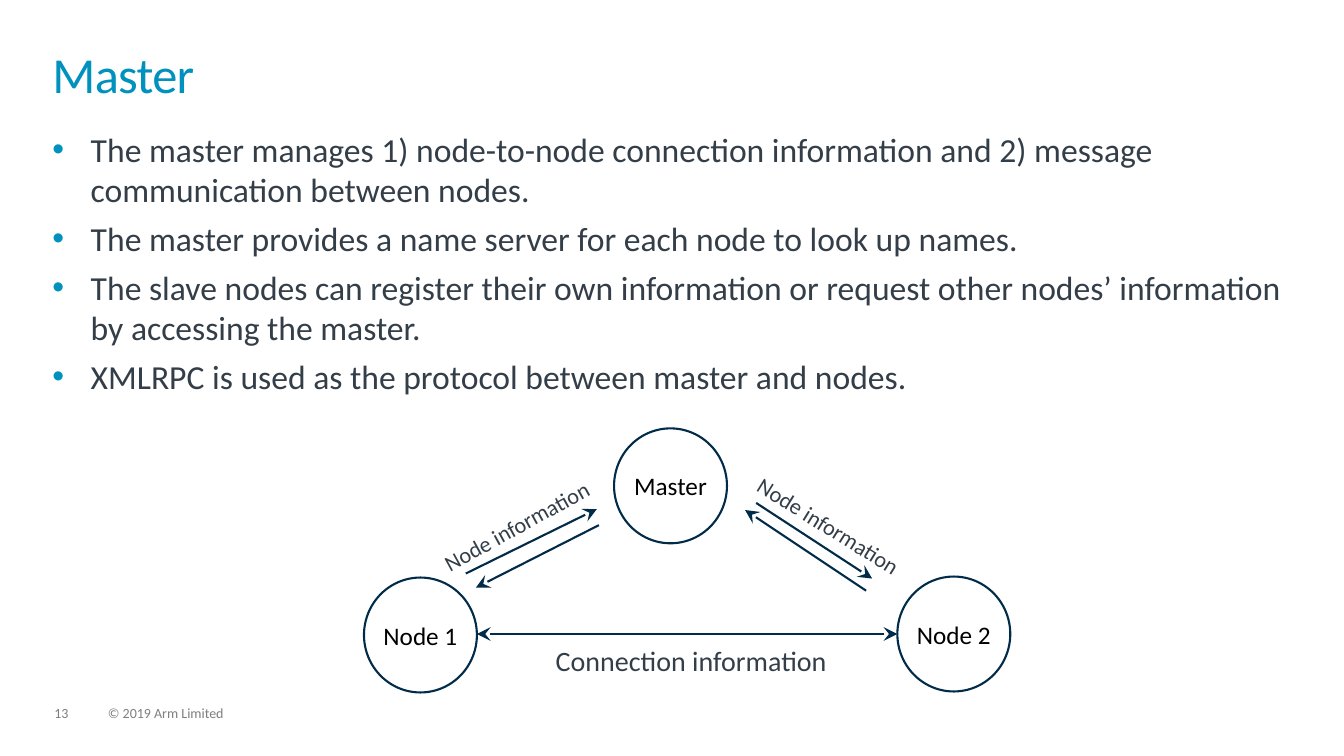
from lxml import etree
from pptx import Presentation
from pptx.dml.color import RGBColor
from pptx.enum.shapes import MSO_CONNECTOR, MSO_SHAPE
from pptx.enum.text import MSO_ANCHOR, PP_ALIGN
from pptx.oxml.ns import qn
from pptx.util import Inches, Pt

LINE, OVAL = MSO_CONNECTOR.STRAIGHT, MSO_SHAPE.OVAL
LEFT, MID = PP_ALIGN.LEFT, PP_ALIGN.CENTER
TOP, CENTRE = MSO_ANCHOR.TOP, MSO_ANCHOR.MIDDLE
FONT = "Calibri"
BLUE, NAVY, SLATE, GREY = "0091BD", "002B49", "333E48", "7F7F7F"

TITLE = "Master"
POINTS = [
    "The master manages 1) node-to-node connection information and 2) message "
    "communication between nodes.",
    "The master provides a name server for each node to look up names.",
    "The slave nodes can register their own information or request other nodes’ "
    "information by accessing the master.",
    "XMLRPC is used as the protocol between master and nodes.",
]
NODES = [("Master", 6.09, 4.25), ("Node 1", 3.61, 5.73), ("Node 2", 8.9, 5.72)]
NODE_W, NODE_H = 1.12, 1.14
# start, end, arrowheads at both ends
ARROWS = [
    ((4.62, 5.69), (5.92, 5.05), False),
    ((5.94, 5.21), (4.72, 5.83), False),
    ((8.9, 6.29), (4.73, 6.29), True),
    ((8.59, 5.86), (7.39, 5.06), False),
    ((7.5, 4.99), (8.65, 5.74), False),
]
# text, box, size, rotation
LABELS = [
    ("Connection information", (5.5, 6.42, 2.71, 0.3), 20, 0),
    ("Node information", (4.32, 5.11, 1.62, 0.24), 16, 331.1),
    ("Node information", (7.4, 5.11, 1.62, 0.24), 16, 31.8),
]
FOOTER = [("13", (0.54, 7.01, 0.34, 0.15)),
          ("© 2019 Arm Limited", (1.07, 7.01, 1.71, 0.15))]


def rgb(code):
    return RGBColor.from_string(code)


def add_bullet(para):
    props = para._p.get_or_add_pPr()
    indent = Inches(0.38)
    props.set("marL", str(indent))
    props.set("indent", str(-indent))
    tint = etree.SubElement(props, qn("a:buClr"))
    etree.SubElement(tint, qn("a:srgbClr"), val=BLUE)
    etree.SubElement(props, qn("a:buFont"), typeface="Arial")
    etree.SubElement(props, qn("a:buChar"), char="•")


def write(shape, *lines, size, color, align=LEFT, anchor=TOP, spacing=None,
          before=0, bullet=False, wrap=True, track=None):
    """Fill a shape with one paragraph per line, without margins."""
    frame = shape.text_frame
    frame.margin_left = frame.margin_right = 0
    frame.margin_top = frame.margin_bottom = 0
    frame.word_wrap, frame.vertical_anchor = wrap, anchor
    for i, line in enumerate(lines):
        para = frame.add_paragraph() if i else frame.paragraphs[0]
        para.alignment = align
        if spacing:
            para.line_spacing = spacing
        if i and before:
            para.space_before = Pt(before)
        if bullet:
            add_bullet(para)
        run = para.add_run()
        run.text = line
        run.font.name, run.font.size = FONT, Pt(size)
        run.font.color.rgb = rgb(color)
        if track:
            run._r.get_or_add_rPr().set("spc", str(int(track * 100)))


def add_text(slide, box, *lines, turn=0, **style):
    shape = slide.shapes.add_textbox(*map(Inches, box))
    shape.rotation = turn
    write(shape, *lines, **style)


def add_node(slide, name, x, y):
    node = slide.shapes.add_shape(OVAL, *map(Inches, (x, y, NODE_W, NODE_H)))
    node.shadow.inherit = False
    node.fill.background()
    node.line.color.rgb = rgb(NAVY)
    node.line.width = Pt(1.5)
    write(node, name, size=18, color="000000", align=MID, anchor=CENTRE)


def add_arrow(slide, start, end, both):
    arrow = slide.shapes.add_connector(LINE, *map(Inches, start + end))
    arrow.line.color.rgb = rgb(NAVY)
    arrow.line.width = Pt(1.5)
    stroke = arrow.line._get_or_add_ln()
    for tag in ("a:headEnd", "a:tailEnd") if both else ("a:tailEnd",):
        etree.SubElement(stroke, qn(tag), type="stealth", w="lg", len="lg")
    etree.SubElement(arrow._element.spPr, qn("a:effectLst"))


def main():
    deck = Presentation()
    deck.slide_width, deck.slide_height = Inches(13.33), Inches(7.5)
    slide = deck.slides.add_slide(deck.slide_layouts[6])
    for text, box in FOOTER:
        add_text(slide, box, text, size=10, color=GREY, spacing=0.9)
    add_text(slide, (0.52, 0.52, 12.28, 0.72), TITLE, size=36, color=BLUE,
             spacing=0.85, track=-0.5)
    add_text(slide, (0.52, 1.28, 12.28, 4.47), *POINTS, size=24, color=SLATE,
             before=6, bullet=True)
    for node in NODES:
        add_node(slide, *node)
    for arrow in ARROWS:
        add_arrow(slide, *arrow)
    for text, box, size, turn in LABELS:
        add_text(slide, box, text, turn=turn, size=size, color=SLATE,
                 align=MID, spacing=0.9, wrap=False)
    deck.save("out.pptx")


if __name__ == "__main__":
    main()
